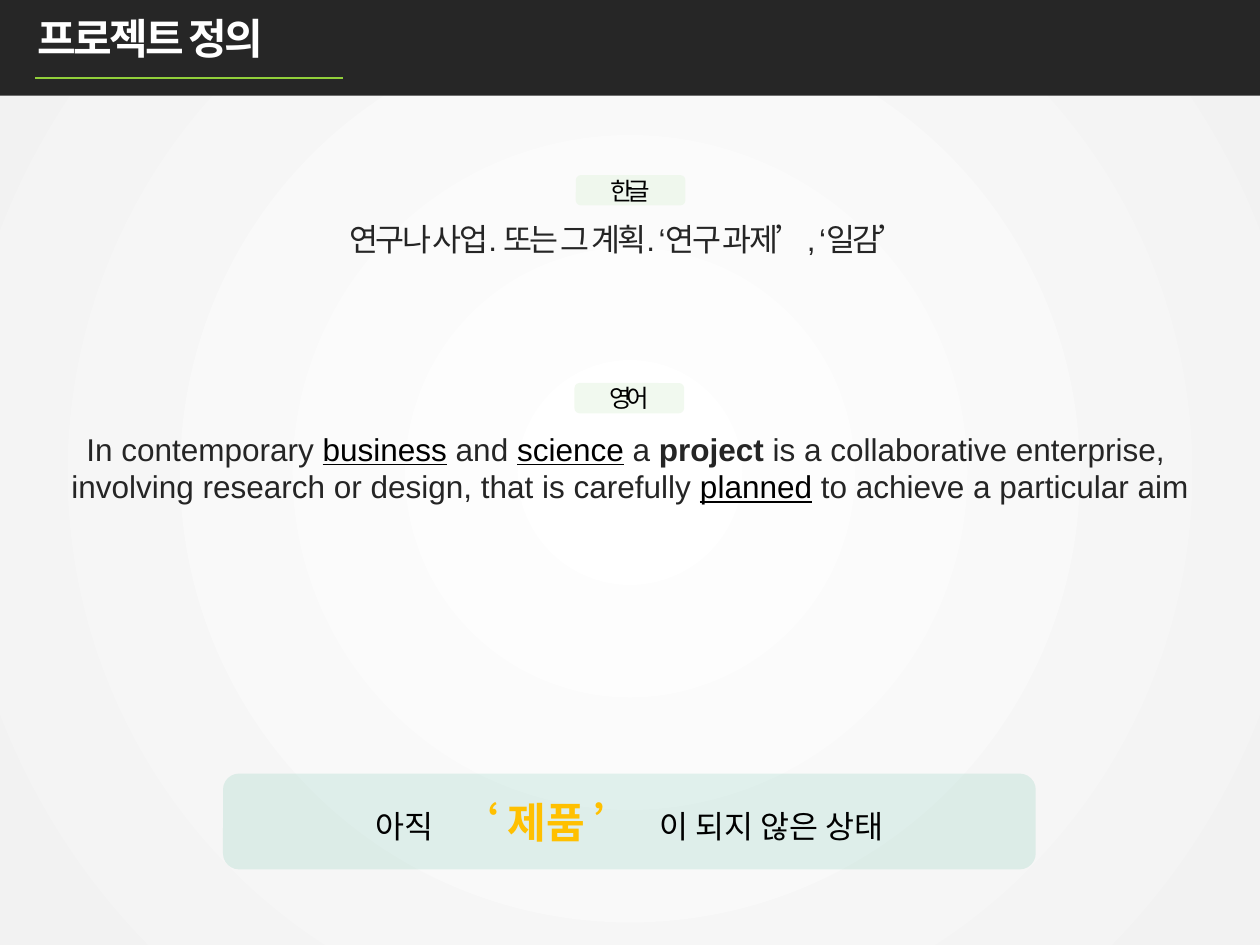
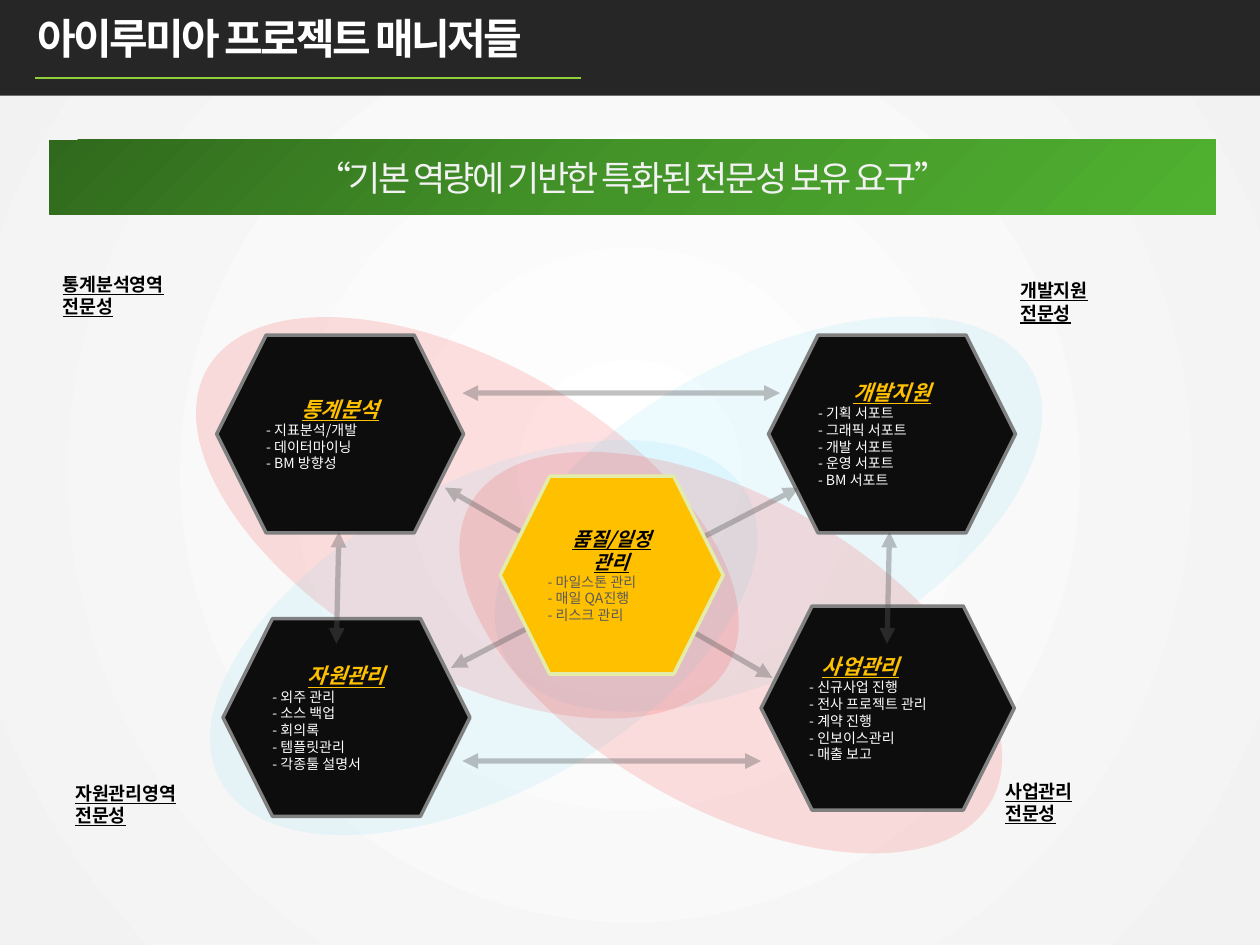
from lxml.etree import SubElement
from pptx import Presentation
from pptx.dml.color import RGBColor
from pptx.enum.shapes import MSO_CONNECTOR, MSO_SHAPE
from pptx.enum.text import MSO_ANCHOR, MSO_AUTO_SIZE, PP_ALIGN
from pptx.oxml.ns import qn
from pptx.util import Inches, Pt

KOREAN = "Noto Sans CJK KR"
BAND, GREEN, GOLD = "262626", "91CF3A", "FFC000"
BLACK, WHITE, GREY, BODY = "000000", "FFFFFF", "595959", "252525"
RED, BLUE = "FF0000", "6BDBFA"
CENTER = PP_ALIGN.CENTER


def rgb(value):
    """Turn a hex string into a colour."""
    return RGBColor.from_string(value)


def set_alpha(element, percent):
    """Make the first colour inside an element partly transparent."""
    color = next(element.iter(qn("a:srgbClr")))
    SubElement(color, qn("a:alpha")).set("val", str(percent * 1000))


def set_gradient(element, stops, angle=None):
    """Fill an element's gradient with stops, linear or from the centre."""
    grad = next(element.iter(qn("a:gradFill")))
    for child in list(grad):
        grad.remove(child)
    stop_list = SubElement(grad, qn("a:gsLst"))
    for position, color in stops:
        stop = SubElement(stop_list, qn("a:gs"), pos=str(position * 1000))
        SubElement(stop, qn("a:srgbClr"), val=color)
    if angle is None:
        center = SubElement(grad, qn("a:path"), path="circle")
        SubElement(center, qn("a:fillToRect"), dict.fromkeys("ltrb", "50000"))
    else:
        SubElement(grad, qn("a:lin"), ang=str(angle * 60000), scaled="0")


def style_font(font, size=None, color=None, name=None, bold=None,
               italic=None, underline=None, spacing=None):
    """Apply the given character settings to a paragraph or run font."""
    if size:
        font.size = Pt(size)
    if color:
        font.color.rgb = rgb(color)
    if name:
        font.name = name
        SubElement(font._rPr, qn("a:ea"), typeface=KOREAN)
    if spacing:
        font._rPr.set("spc", str(int(spacing * 100)))
    font.bold, font.italic, font.underline = bold, italic, underline


def add_text(tf, content, align=PP_ALIGN.LEFT, indent=0, **style):
    """Add a paragraph from a string or (text, overrides) runs; None breaks the line."""
    p = tf.add_paragraph() if tf.text else tf.paragraphs[0]
    p.alignment = align
    if indent:
        p._p.get_or_add_pPr().set("marL", str(Inches(indent)))
    style_font(p.font, **style)
    for part in [(content, {})] if isinstance(content, str) else content:
        if part is None:
            p.add_line_break()
            continue
        text, overrides = part
        r = p.add_run()
        r.text = text
        if overrides:
            style_font(r.font, **overrides)


def add_box(slide, x, y, w, h):
    """Add a wrapping text box that grows with its text and return its frame."""
    tf = slide.shapes.add_textbox(Inches(x), Inches(y), Inches(w), Inches(h)).text_frame
    tf.word_wrap = True
    tf.auto_size = MSO_AUTO_SIZE.SHAPE_TO_FIT_TEXT
    return tf


def add_shape(slide, kind, x, y, w, h, fill, alpha=None, line=None):
    """Add a flat preset shape, optionally transparent or outlined."""
    s = slide.shapes.add_shape(kind, Inches(x), Inches(y), Inches(w), Inches(h))
    s.shadow.inherit = False
    s.fill.solid()
    s.fill.fore_color.rgb = rgb(fill)
    if alpha:
        set_alpha(s._element.spPr, alpha)
    if line:
        s.line.color.rgb = rgb(line)
        s.line.width = Pt(2)
    else:
        s.line.fill.background()
    s.text_frame.vertical_anchor = MSO_ANCHOR.MIDDLE
    return s


def add_line(slide, start, end, color, width):
    """Add a straight line without shadow."""
    line = slide.shapes.add_connector(
        MSO_CONNECTOR.STRAIGHT, *(Inches(v) for v in (*start, *end)))
    line.line.color.rgb = rgb(color)
    line.line.width = Pt(width)
    SubElement(line._element.spPr, qn("a:effectLst"))
    return line


def add_arrow(slide, start, end):
    """Add a translucent arrow with a head at both ends."""
    line = add_line(slide, start, end, GREY, 3)
    ln = line.line._get_or_add_ln()
    set_alpha(ln, 37)
    for tag in ("a:headEnd", "a:tailEnd"):
        SubElement(ln, qn(tag), type="triangle")


def add_titled_slide(prs, title, rule_end):
    """Add a blank slide with the dark band, title and green rule."""
    slide = prs.slides.add_slide(prs.slide_layouts[6])
    slide.background.fill.gradient()
    set_gradient(slide._element, [(0, "FFFFFF"), (100, "F2F2F2")])
    add_shape(slide, MSO_SHAPE.RECTANGLE, 0, 0, 10, 0.76, BAND)
    add_text(add_box(slide, 0.2, 0.05, 6.38, 0.5), title,
             size=24, color=WHITE, name="Arial", bold=True, spacing=-1.5)
    add_line(slide, (0.28, 0.62), (rule_end, 0.62), GREEN, 1.5)
    return slide


def add_tag(slide, x, y, text):
    """Add a small pale green language tag."""
    s = add_shape(slide, MSO_SHAPE.ROUNDED_RECTANGLE, x, y, 0.87, 0.24, "E5F4E0", 50)
    add_text(s.text_frame, text, CENTER, size=14, color=BLACK, name="Arial", spacing=-3)


def add_label(slide, x, y, w, area):
    """Add an underlined two-line expertise label."""
    tf = add_box(slide, x, y, w, 0.59)
    for text in (area, "전문성"):
        add_text(tf, text, size=10.5, color=BLACK, name=KOREAN, bold=True, underline=True)


def add_role(slide, box, headings, duties, align=CENTER, indent=0, fill="0D0D0D",
             line="808080", heading_color=GOLD, size=12, duty_color=WHITE):
    """Add a hexagon with a slanted heading and its list of duties."""
    s = add_shape(slide, MSO_SHAPE.HEXAGON, *box, fill, line=line)
    tf = s.text_frame
    for text in headings:
        add_text(tf, text, align, indent, size=size, color=heading_color,
                 name=KOREAN, bold=True, italic=True, underline=True)
    for text in duties:
        add_text(tf, f"- {text}", size=8, color=duty_color, name=KOREAN)
    return tf


def build_definition(prs):
    """Build the slide that defines a project."""
    slide = add_titled_slide(prs, "프로젝트 정의", 2.72)
    link = {"color": BLACK, "underline": True}
    add_text(add_box(slide, 0, 3.36, 10, 0.71), [
        ("In contemporary ", {}), ("business", link), (" and ", {}),
        ("science", link), (" a ", {}), ("project", {"bold": True}),
        (" is a collaborative enterprise, ", {}), None,
        ("involving research or design, that is carefully ", {}),
        ("planned", link), (" to achieve a particular aim", {}),
    ], CENTER, size=18, color=BODY, name="Arial")
    add_text(add_box(slide, 0, 1.7, 10, 0.4),
             "연구나 사업. 또는 그 계획. ‘연구 과제’, ‘일감’",
             CENTER, size=18, color=BODY, name="Arial", spacing=-1.5)
    add_tag(slide, 4.57, 1.39, "한글")
    add_tag(slide, 4.56, 3.04, "영어")
    s = add_shape(slide, MSO_SHAPE.ROUNDED_RECTANGLE, 1.77, 6.14, 6.45, 0.76, "0C9B74", 11)
    gap = (" ", {"spacing": 9})
    add_text(s.text_frame, [
        ("아직", {}), gap, ("‘ 제품 ’", {"size": 24, "color": GOLD, "bold": True}),
        gap, ("이 되지 않은 상태", {}),
    ], CENTER, size=18, color=BLACK, name=KOREAN)


def build_managers(prs):
    """Build the slide on the project managers' areas of expertise."""
    slide = add_titled_slide(prs, "아이루미아 프로젝트 매니저들", 4.61)
    for x, y, angle, color in [(3.72, 2.85, 331.5, BLUE), (1.33, 2.88, 29.8, RED),
                               (1.46, 3.83, 331.5, BLUE), (3.42, 3.95, 29.8, RED)]:
        add_shape(slide, MSO_SHAPE.OVAL, x, y, 4.76, 2.46, color, 12).rotation = angle
    for label in [(0.5, 6.16, 2.54, "자원관리영역"), (0.4, 2.12, 2.54, "통계분석영역"),
                  (8, 2.17, 1.57, "개발지원"), (7.88, 6.14, 1.48, "사업관리")]:
        add_label(slide, *label)

    business = add_role(slide, (6.04, 4.81, 2.01, 1.62), ["사업관리"],
                        ["신규사업 진행", "전사 프로젝트 관리", "계약 진행",
                         "인보이스관리", "매출 보고"], PP_ALIGN.LEFT, 0.1)
    business.margin_left, business.margin_right = Inches(0.08), 0
    for x, y, heading, duties in [
        (1.72, 2.66, "통계분석", ["지표분석/개발", "데이터마이닝", "BM 방향성"]),
        (6.1, 2.66, "개발지원", ["기획 서포트", "그래픽 서포트", "개발 서포트",
                             "운영 서포트", "BM 서포트"]),
        (1.77, 4.91, "자원관리", ["외주 관리", "소스 백업", "회의록",
                              "템플릿관리", "각종툴 설명서"]),
    ]:
        add_role(slide, (x, y, 1.96, 1.57), [heading], duties)

    for start, end in [((6.19, 3.12), (3.67, 3.12)), ((6.04, 6.04), (3.67, 6.04)),
                       ((7.04, 5.11), (7.06, 4.22)), ((6.13, 5.38), (3.53, 3.87)),
                       ((6.34, 3.87), (3.58, 5.3)), ((2.67, 5.11), (2.69, 4.22))]:
        add_arrow(slide, start, end)
    add_role(slide, (3.97, 3.78, 1.77, 1.57), ["품질/일정", "관리"],
             ["마일스톤 관리", "매일 QA진행", "리스크 관리"], fill=GOLD,
             line="E4ECAA", heading_color=BLACK, size=11, duty_color=GREY)

    banner = add_shape(slide, MSO_SHAPE.RECTANGLE, 0.39, 1.11, 9.26, 0.59, "449529")
    banner.fill.gradient()
    set_gradient(banner._element.spPr,
                 [(0, "30691D"), (50, "449529"), (100, "50B130")], 45)
    add_text(banner.text_frame, "“기본 역량에 기반한 특화된 전문성 보유 요구”",
             CENTER, size=20, color="F2F2F2", name=KOREAN, spacing=-1.5)


def main():
    """Build and save the presentation."""
    prs = Presentation()
    prs.slide_width, prs.slide_height = Inches(10), Inches(7.5)
    build_definition(prs)
    build_managers(prs)
    prs.save("out.pptx")


if __name__ == "__main__":
    main()
